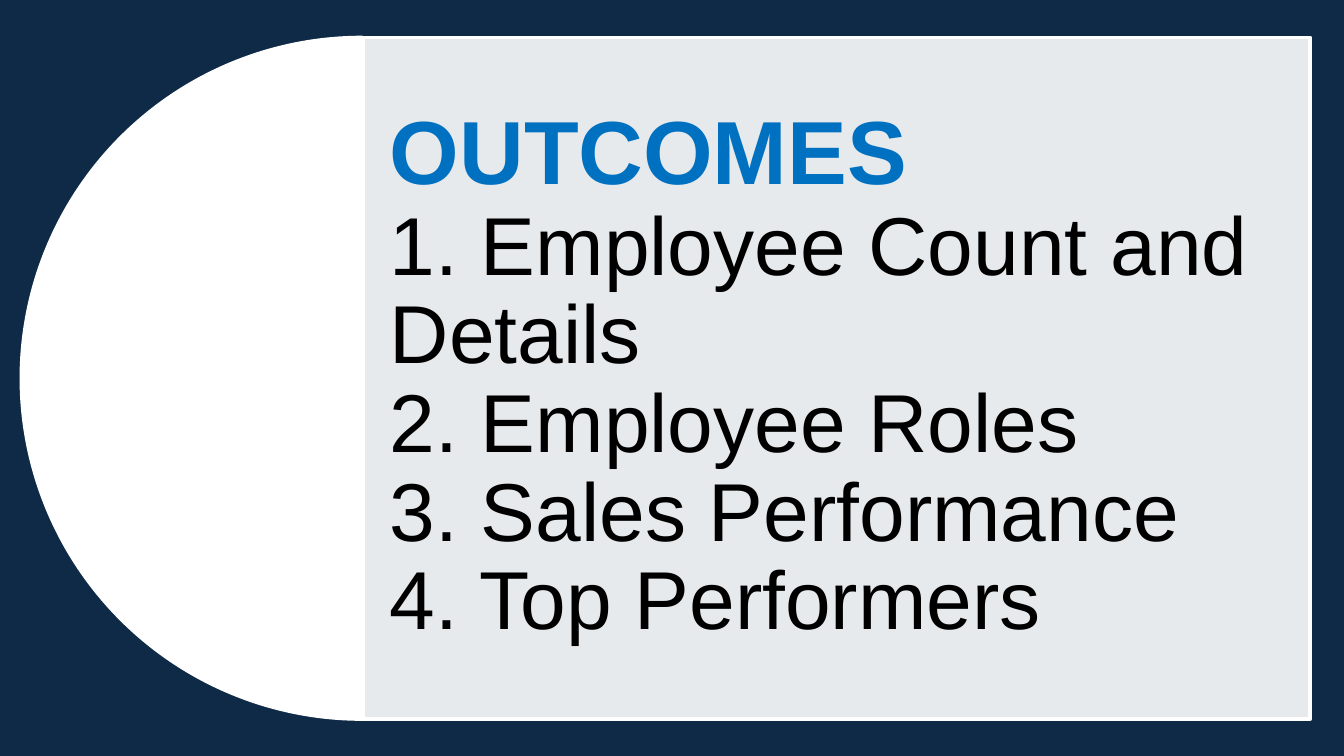
from lxml import etree
from pptx import Presentation
from pptx.dml.color import RGBColor
from pptx.enum import shapes, text
from pptx.oxml.ns import qn
from pptx.util import Inches, Pt

HEADING = "OUTCOMES"
OUTCOMES = [
    "1. Employee Count and Details",
    "2. Employee Roles",
    "3. Sales Performance",
    "4. Top Performers",
]
COLORS = {"navy": "0E2A47", "white": "FFFFFF", "blue": "0070C0", "black": "000000"}

TOP, HEIGHT = 0.28, 5.07
PANEL_LEFT, PANEL_WIDTH = 2.7, 7.05
HEADING_BOTTOM = 1.52
INSET = 0.2


def color(name):
    return RGBColor.from_string(COLORS[name])


def add_panel(page, kind, left, width):
    panel = page.shapes.add_shape(
        kind, Inches(left), Inches(TOP), Inches(width), Inches(HEIGHT))
    panel.shadow.inherit = False
    panel.fill.solid()
    panel.fill.fore_color.rgb = color("white")
    panel.line.color.rgb = color("white")
    panel.line.width = Pt(2)
    return panel


def set_opacity(shape, percent):
    fill_color = shape._element.spPr.find(qn("a:solidFill"))[0]
    etree.SubElement(fill_color, qn("a:alpha")).set("val", str(percent * 1000))


def fill_text(box, lines, top, bottom, anchor, size, ink, bold):
    """Place a placeholder on the panel and write one paragraph per line."""
    box.left, box.top = Inches(PANEL_LEFT), Inches(top)
    box.width, box.height = Inches(PANEL_WIDTH), Inches(bottom - top)
    frame = box.text_frame
    frame.word_wrap = True
    frame.auto_size = text.MSO_AUTO_SIZE.NONE
    frame.vertical_anchor = anchor
    frame.margin_left = frame.margin_right = Inches(INSET)
    frame.margin_top = frame.margin_bottom = 0
    frame.text = "\n".join(lines)
    for para in frame.paragraphs:
        para.alignment = text.PP_ALIGN.LEFT
        para.line_spacing = 0.9
        para.space_before = para.space_after = Pt(0)
        para.font.name = "Arial"
        para.font.size = Pt(size)
        para.font.bold = bold
        para.font.color.rgb = color(ink)
        properties = para._p.get_or_add_pPr()
        properties.set("marL", "0")
        properties.set("indent", "0")
        bullet = etree.Element(qn("a:buNone"))
        properties.find(qn("a:defRPr")).addprevious(bullet)


deck = Presentation()
deck.slide_width = Inches(10)
deck.slide_height = deck.slide_width * 9 // 16
page = deck.slides.add_slide(deck.slide_layouts[1])
page.background.fill.solid()
page.background.fill.fore_color.rgb = color("navy")
title, body = page.placeholders

half_disc = add_panel(page, shapes.MSO_SHAPE.PIE, 0.16, HEIGHT)
half_disc.adjustments[0], half_disc.adjustments[1] = 54, 162
card = add_panel(page, shapes.MSO_SHAPE.RECTANGLE, PANEL_LEFT, PANEL_WIDTH)
set_opacity(card, 90)

fill_text(title, [HEADING], TOP, HEADING_BOTTOM,
          text.MSO_ANCHOR.BOTTOM, 48, "blue", True)
fill_text(body, OUTCOMES, HEADING_BOTTOM, TOP + HEIGHT,
          text.MSO_ANCHOR.TOP, 44, "black", False)
for box in (title, body):
    page.shapes._spTree.append(box._element)

deck.save("out.pptx")
